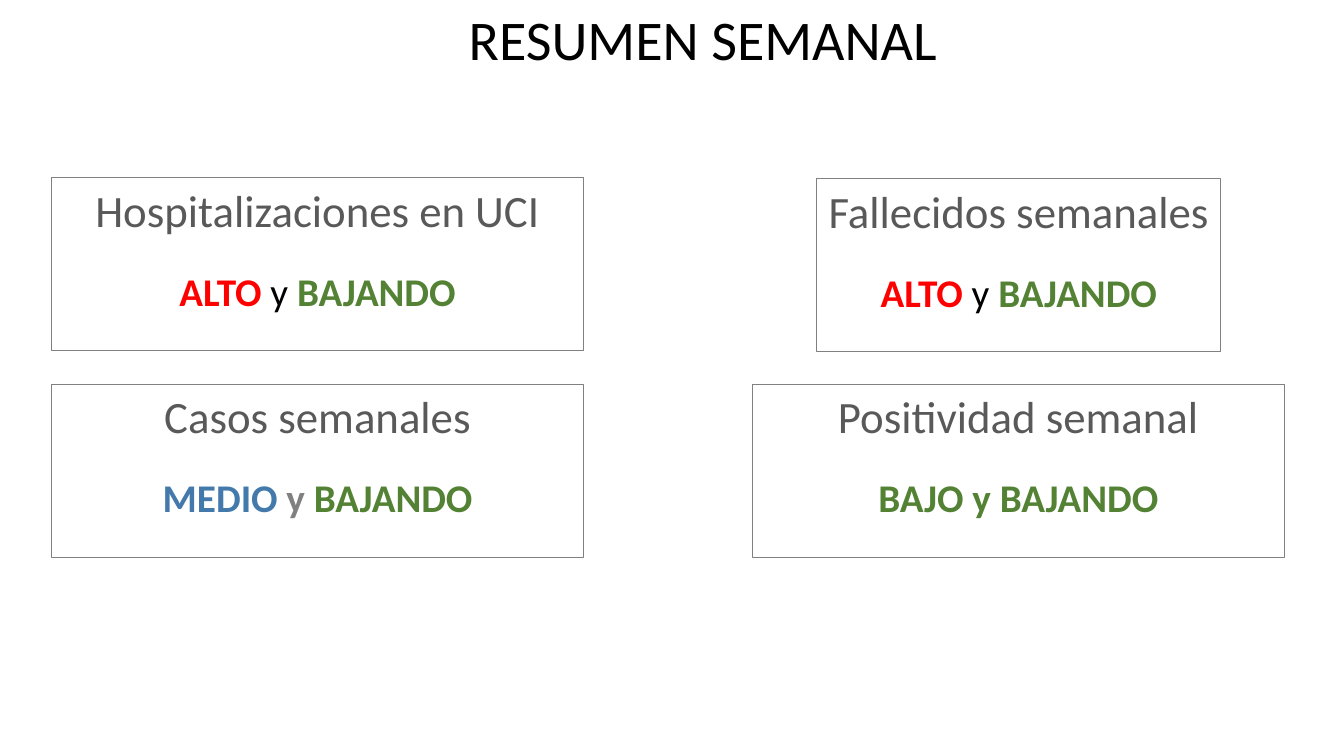
from pptx import Presentation
from pptx.dml.color import RGBColor
from pptx.enum.shapes import MSO_SHAPE
from pptx.enum.text import MSO_ANCHOR, PP_ALIGN
from pptx.util import Inches, Pt

COLORS = {
    "black": "000000",
    "heading": "595959",
    "gray": "808080",
    "red": "FF0000",
    "green": "548235",
    "blue": "437AAB",
}


def add_run(paragraph, text, size, color, bold=False):
    run = paragraph.add_run()
    run.text = text
    run.font.name = "Calibri"
    run.font.size = Pt(size)
    run.font.bold = bold
    run.font.color.rgb = RGBColor.from_string(COLORS[color])


presentation = Presentation()
presentation.slide_width = Inches(13.33)
presentation.slide_height = Inches(7.5)
slide = presentation.slides.add_slide(presentation.slide_layouts[6])

title = slide.shapes.add_textbox(Inches(4.55), Inches(0), Inches(4.89), Inches(0.77))
title.text_frame.word_wrap = False
add_run(title.text_frame.paragraphs[0], "RESUMEN SEMANAL", 40, "black")

high_and_falling = [
    ("ALTO", "red", True),
    (" y ", "black", False),
    ("BAJANDO", "green", True),
]
medium_and_falling = [
    ("MEDIO ", "blue", True),
    ("y ", "gray", True),
    ("BAJANDO", "green", True),
]
low_and_falling = [("BAJO y BAJANDO", "green", True)]

# Left, top, width, wrap, heading, status runs
indicators = [
    (0.51, 1.76, 5.28, True, "Hospitalizaciones en UCI", high_and_falling),
    (8.1, 1.77, 4.01, False, "Fallecidos semanales", high_and_falling),
    (0.51, 3.81, 5.28, True, "Casos semanales", medium_and_falling),
    (7.46, 3.81, 5.28, True, "Positividad semanal", low_and_falling),
]

for left, top, width, wrap, heading, status in indicators:
    shape = slide.shapes.add_shape(
        MSO_SHAPE.RECTANGLE, Inches(left), Inches(top), Inches(width), Inches(1.72)
    )
    shape.shadow.inherit = False
    shape.fill.background()
    shape.line.color.rgb = RGBColor.from_string(COLORS["gray"])
    shape.line.width = Pt(0.75)

    text_frame = shape.text_frame
    text_frame.word_wrap = wrap
    text_frame.vertical_anchor = MSO_ANCHOR.TOP

    heading_paragraph = text_frame.paragraphs[0]
    heading_paragraph.alignment = PP_ALIGN.CENTER
    add_run(heading_paragraph, heading, 32, "heading")

    status_paragraph = text_frame.add_paragraph()
    status_paragraph.alignment = PP_ALIGN.CENTER
    status_paragraph.space_before = Pt(22)
    for text, color, bold in status:
        add_run(status_paragraph, text, 28, color, bold)

presentation.save("out.pptx")
